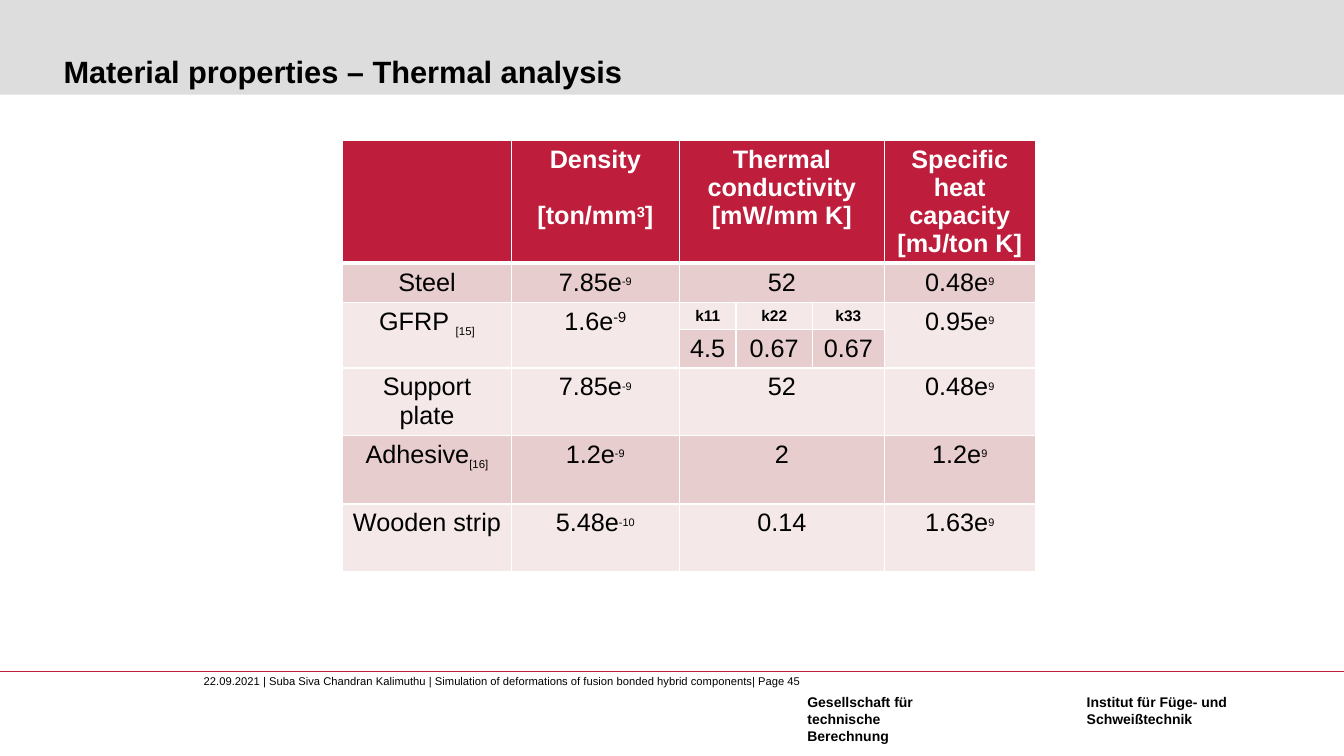
from dataclasses import dataclass

import pptx
import pptx.dml.color
import pptx.enum.shapes
import pptx.enum.text
import pptx.oxml
import pptx.oxml.ns
import pptx.util

Inches = pptx.util.Inches
Pt = pptx.util.Pt

FONT = "Arial"
RED, WHITE, BLACK, GREY = "BE1E3C", "FFFFFF", "000000", "DDDDDD"
BANDS = ("F4E8E8", "E8CDCE")
COLUMN_WIDTHS = (1.67, 1.67, 0.56, 0.76, 0.71, 1.5)
ROW_HEIGHTS = (1.21, 0.39, 0.27, 0.38, 0.67, 0.68, 0.67)


@dataclass
class Span:
    text: str
    size: float = 18
    baseline: int = 0


@dataclass
class Entry:
    row: int
    column: int
    lines: list[list[Span]]
    rows: int = 1
    columns: int = 1
    bold: bool = False
    gap: float = 0


@dataclass
class Label:
    text: str
    left: float
    top: float
    width: float
    height: float
    size: float
    bold: bool
    margin: float


def power(mantissa: str, exponent: str, size: float = 13.5) -> list[Span]:
    return [Span(mantissa + "e"), Span(exponent, size, 30)]


def cited(name: str, reference: str) -> list[Span]:
    return [Span(name), Span(reference, 14, -25)]


def material(row: int, name: list[Span], density: list[Span],
             conductivity: str, heat: str) -> list[Entry]:
    return [
        Entry(row, 0, [name]),
        Entry(row, 1, [density]),
        Entry(row, 2, [[Span(conductivity)]], columns=3),
        Entry(row, 5, [power(heat, "9")]),
    ]


ENTRIES = [
    Entry(0, 1, [[Span("Density")],
                 [Span("[ton/mm"), Span("3", 18, 30), Span("]")]], bold=True, gap=20.5),
    Entry(0, 2, [[Span("Thermal conductivity")], [Span("[mW/mm K]")]],
          columns=3, bold=True),
    Entry(0, 5, [[Span("Specific heat capacity")], [Span("[mJ/ton K]")]], bold=True),
    *material(1, [Span("Steel")], power("7.85", "-9"), "52", "0.48"),
    Entry(2, 0, [cited("GFRP ", "[15]")], rows=2),
    Entry(2, 1, [power("1.6", "-9", 18)], rows=2),
    *[Entry(2, column, [[Span(axis, 11)]], bold=True)
      for column, axis in enumerate(("k11", "k22", "k33"), 2)],
    *[Entry(3, column, [[Span(value)]])
      for column, value in enumerate(("4.5", "0.67", "0.67"), 2)],
    Entry(2, 5, [power("0.95", "9")], rows=2),
    *material(4, [Span("Support plate")], power("7.85", "-9"), "52", "0.48"),
    *material(5, cited("Adhesive", "[16]"), power("1.2", "-9"), "2", "1.2"),
    *material(6, [Span("Wooden strip")], power("5.48", "-10"), "0.14", "1.63"),
]

LABELS = [
    Label("Institut für Füge- und\nSchweißtechnik", 10.68, 6.83, 1.61, 0.44, 10, True, 0.1),
    Label("Gesellschaft für\vtechnische Berechnung", 7.91, 6.83, 1.74, 0.44, 10, True, 0.1),
    Label("22.09.2021 | Suba Siva Chandran Kalimuthu | Simulation of deformations "
          "of fusion bonded hybrid components| Page 45",
          2.02, 6.69, 6.01, 0.27, 8, False, 0),
]


def colour(value: str) -> pptx.dml.color.RGBColor:
    return pptx.dml.color.RGBColor.from_string(value)


def format_font(font, size: float, value: str, bold: bool) -> None:
    font.name = FONT
    font.size = Pt(size)
    font.bold = bold
    font.color.rgb = colour(value)


def set_margins(frame, side: float, edge: float) -> None:
    frame.margin_left = frame.margin_right = Inches(side)
    frame.margin_top = frame.margin_bottom = Inches(edge)


def draw_frame(page) -> None:
    band = page.shapes.add_shape(pptx.enum.shapes.MSO_SHAPE.RECTANGLE,
                                 0, 0, Inches(13.33), Inches(0.94))
    band.shadow.inherit = False
    band.fill.solid()
    band.fill.fore_color.rgb = colour(GREY)
    band.line.fill.background()
    rule = page.shapes.add_connector(pptx.enum.shapes.MSO_CONNECTOR.STRAIGHT,
                                     0, Inches(6.66), Inches(13.33), Inches(6.66))
    rule.line.color.rgb = colour(RED)
    rule.line.width = Pt(0.75)
    properties = rule.element.find(pptx.oxml.ns.qn("p:spPr"))
    properties.append(pptx.oxml.parse_xml(
        f'<a:effectLst {pptx.oxml.ns.nsdecls("a")}/>'))


def draw_label(page, label: Label) -> None:
    box = page.shapes.add_textbox(Inches(label.left), Inches(label.top),
                                  Inches(label.width), Inches(label.height))
    frame = box.text_frame
    frame.word_wrap = False
    set_margins(frame, label.margin, label.margin / 2)
    frame.text = label.text
    for para in frame.paragraphs:
        for span in para.runs:
            format_font(span.font, label.size, BLACK, label.bold)


def draw_title(page, text: str) -> None:
    title = page.shapes.title
    title.left, title.top = Inches(0.63), Inches(0.12)
    title.width, title.height = Inches(12.21), Inches(0.77)
    frame = title.text_frame
    frame.text = text
    frame.vertical_anchor = pptx.enum.text.MSO_ANCHOR.BOTTOM
    set_margins(frame, 0, 0)
    para = frame.paragraphs[0]
    para.alignment = pptx.enum.text.PP_ALIGN.LEFT
    format_font(para.runs[0].font, 22, BLACK, True)


def style_cell(cell, row: int) -> None:
    properties = cell._tc.get_or_add_tcPr()
    top = 3 if row == 1 else 1
    bottom = 3 if row == 0 else 1
    for side, width in (("L", 1), ("R", 1), ("T", top), ("B", bottom)):
        properties.append(pptx.oxml.parse_xml(
            f'<a:ln{side} {pptx.oxml.ns.nsdecls("a")} w="{Pt(width)}"><a:solidFill>'
            f'<a:srgbClr val="{WHITE}"/></a:solidFill></a:ln{side}>'))
    cell.fill.solid()
    cell.fill.fore_color.rgb = colour(BANDS[row % 2] if row else RED)


def fill_entry(table, entry: Entry) -> None:
    cell = table.cell(entry.row, entry.column)
    if entry.rows > 1 or entry.columns > 1:
        cell.merge(table.cell(entry.row + entry.rows - 1,
                              entry.column + entry.columns - 1))
    frame = cell.text_frame
    for index, line in enumerate(entry.lines):
        para = frame.add_paragraph() if index else frame.paragraphs[0]
        para.alignment = pptx.enum.text.PP_ALIGN.CENTER
        if index and entry.gap:
            para.space_before = Pt(entry.gap)
        for part in line:
            span = para.add_run()
            span.text = part.text
            format_font(span.font, part.size, BLACK if entry.row else WHITE, entry.bold)
            if part.baseline:
                span.font._element.set("baseline", str(part.baseline * 1000))


def draw_table(page) -> None:
    table = page.shapes.add_table(
        len(ROW_HEIGHTS), len(COLUMN_WIDTHS), Inches(3.4), Inches(1.39),
        Inches(sum(COLUMN_WIDTHS)), Inches(sum(ROW_HEIGHTS))).table
    for column, width in zip(table.columns, COLUMN_WIDTHS):
        column.width = Inches(width)
    for index, (row, height) in enumerate(zip(table.rows, ROW_HEIGHTS)):
        row.height = Inches(height)
        for cell in row.cells:
            style_cell(cell, index)
    for entry in ENTRIES:
        fill_entry(table, entry)


def main() -> None:
    deck = pptx.Presentation()
    deck.slide_width, deck.slide_height = Inches(13.33), Inches(7.5)
    page = deck.slides.add_slide(deck.slide_layouts[5])
    draw_frame(page)
    for label in LABELS:
        draw_label(page, label)
    draw_title(page, "Material properties – Thermal analysis")
    title = page.shapes.title.element
    title.getparent().append(title)
    draw_table(page)
    deck.save("out.pptx")


if __name__ == "__main__":
    main()
